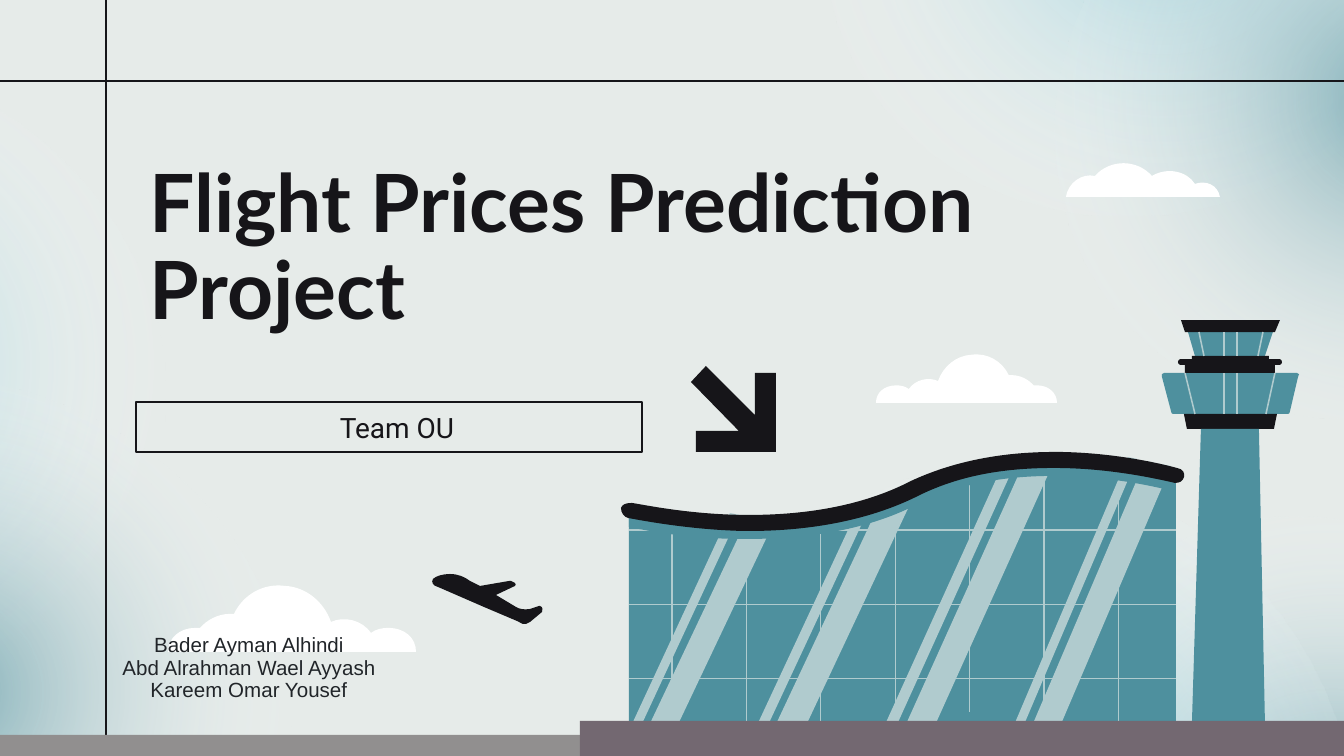
"""Build the title slide of a flight prices project, with an airport scene."""
from pptx import Presentation, oxml
from pptx import util as u
from pptx.dml.color import RGBColor
from pptx.enum import shapes, text
from pptx.oxml import ns

PX = 914400 / 134.4
WIDTH, HEIGHT = 1344, 756
THEME = {
    "paper": "E6EBE9", "ink": "161519", "teal": "4E909E", "sky": "80C8D8", "white": "FFFFFF",
    "shine": "B0CBCE", "strip": "918F8F", "ground": "736871", "body": "212529",
    "title": {"name": "Lato", "size": u.Pt(43), "bold": True},
    "team": {"name": "Roboto", "size": u.Pt(15), "bold": False},
    "names": {"name": "Arial", "size": u.Pt(11), "bold": False},
    "rule": 0.75, "mullion": 0.83, "pane": 0.67,
}
TITLE = ["Flight Prices Prediction Project"]
TEAM = ["Team OU"]
NAMES = ["Bader Ayman Alhindi", "Abd Alrahman Wael Ayyash", "Kareem Omar Yousef"]

GLOW_SIZE = (702, 618)
GLOWS = [
    (982, 547, 237.1, "teal", 81), (685, 495, 237.1, "sky", 68),
    (-531, 55, 202, "sky", 68), (-405, 382, 202, "teal", 68),
    (812, -414, 149, "sky", 68), (1044, -211, 149, "teal", 68),
]
RULES = [(106, 0, 106, HEIGHT), (0, 81, WIDTH, 81)]
PUFFY_CLOUD = [
    (388, 628), (383, 628, 376, 629, 371, 633), (362, 620, 344, 616, 331, 622),
    (324, 602, 306, 587, 285, 586), (263, 583, 243, 595, 234, 614),
    (233, 614, 231, 614, 230, 614), (218, 614, 207, 620, 200, 628),
    (198, 628, 196, 628, 195, 628), (180, 628, 168, 638, 168, 652),
    (416, 652), (416, 638, 405, 628, 388, 628),
]
HIGH_CLOUD = [
    (1220, 197), (1066, 197), (1068, 183, 1082, 173, 1095, 176),
    (1110, 159, 1137, 159, 1152, 176), (1167, 167, 1187, 171, 1195, 184),
    (1206, 180, 1218, 185, 1220, 197),
]
CLOUD_SCALE, CLOUD_RIGHT, CLOUD_BASE = 0.73, 1057, 403
ARROW = [(706, 366), (691, 382), (739, 431), (696, 431), (696, 452),
         (776, 452), (776, 373), (755, 373), (755, 415)]
TOWER = [
    ("teal", [(1173, 414), (1288, 414), (1289, 414, 1290, 413, 1290, 411), (1298, 377),
              (1300, 375, 1299, 373, 1297, 373), (1164, 373),
              (1162, 373, 1161, 375, 1162, 377), (1171, 411),
              (1171, 413, 1172, 414, 1173, 414)]),
    ("ink", [(1277, 414), (1274, 429), (1187, 429), (1184, 414)]),
    ("teal", [(1192, 723), (1265, 723), (1259, 429), (1201, 429)]),
    ("teal", [(1195, 356), (1265, 356), (1273, 332), (1188, 332)]),
    ("ink", [(1280, 320), (1275, 332), (1185, 332), (1181, 320)]),
]
DECKS = [(1185, 364, 90, 9), (1192, 356, 77, 8)]
GALLERY = (1178, 359, 104, 6)
MULLIONS = [
    (332, 356, [(1263, 1258), (1237, 1237), (1199, 1204), (1224, 1224)]),
    (373, 414, [(1275, 1266), (1237, 1237), (1185, 1195), (1224, 1224)]),
]
FACADE = [(629, 511), (629, 723), (1176, 723), (1176, 476),
          (1124, 462, 1009, 442, 915, 489), (804, 543, 663, 517, 629, 511)]
REFLECTIONS = [
    (1032, 726, 1145, 461, 26), (1015, 723, 1128, 457, 9),
    (903, 731, 1023, 465, 27), (884, 727, 1004, 462, 11),
    (762, 754, 880, 503, 28), (745, 751, 856, 513, 10),
    (636, 753, 747, 519, 26), (620, 750, 730, 513, 9),
]
PANE, FIRST_COLUMN, FIRST_ROW, ROWS = 74.4, 672, 530, 3
COLUMN_ENDS = [(517, 749), (517, 749), (512, 742), (499, 730),
               (481, 712), (472, HEIGHT), (476, HEIGHT)]
EAVES = [
    (1054, 461), (1062, 461), (1108, 461, 1149, 469, 1176, 476), (1176, 492),
    (1149, 485, 1105, 476, 1054, 476), (1011, 476, 962, 482, 918, 504),
    (872, 528, 814, 539, 749, 539), (743, 539), (704, 539, 666, 535, 629, 527),
    (629, 511), (645, 515, 692, 524, 749, 524), (799, 524, 859, 516, 911, 491),
    (952, 470, 1000, 461, 1054, 461),
]
ROOF = [
    (1054, 452), (1062, 452), (1109, 453, 1151, 461, 1177, 468),
    (1183, 469, 1185, 473, 1184, 477), (1183, 481, 1180, 483, 1175, 483),
    (1149, 477, 1105, 468, 1054, 468), (1009, 468, 962, 474, 918, 496),
    (872, 519, 814, 531, 749, 531), (743, 531), (704, 530, 665, 525, 628, 518),
    (624, 517, 621, 513, 621, 508), (622, 505, 625, 503, 632, 503),
    (645, 505, 692, 515, 749, 515), (799, 515, 859, 508, 911, 481),
    (952, 462, 1000, 452, 1054, 452),
]
PLANE = [
    (450, 574), (458, 574, 465, 577, 470, 581), (480, 586), (509, 581), (511, 581),
    (515, 583), (516, 583, 516, 586, 515, 586), (496, 595), (516, 607),
    (519, 609, 524, 610, 530, 609), (539, 606), (540, 606),
    (543, 607, 543, 610, 542, 612), (530, 622), (528, 624, 525, 624, 523, 624),
    (517, 621), (484, 607), (438, 587), (433, 586, 431, 582, 433, 579),
    (436, 576, 443, 574, 450, 574),
]


def px(*values):
    return [u.Emu(round(value * PX)) for value in values]


def color(name):
    return RGBColor.from_string(THEME[name])


def paint(shape, fill):
    shape.shadow.inherit = False
    shape.line.fill.background()
    shape.fill.solid()
    shape.fill.fore_color.rgb = color(fill)
    return shape


def add_block(page, frame, fill, kind=shapes.MSO_SHAPE.RECTANGLE):
    return paint(page.shapes.add_shape(kind, *px(*frame)), fill)


def add_outline(page, steps, fill):
    points = [px(*step[i:i + 2]) for step in steps for i in range(0, len(step), 2)]
    builder = page.shapes.build_freeform(*points[0])
    builder.add_line_segments(points[1:], close=True)
    shape = builder.convert_to_shape()
    segments = iter(list(shape._element.iter(ns.qn("a:lnTo"))))
    for step in steps[1:]:
        segment = next(segments)
        if len(step) == 6:
            curve = oxml.parse_xml(f"<a:cubicBezTo {ns.nsdecls('a')}/>")
            segment.addprevious(curve)
            for part in (segment, next(segments), next(segments)):
                curve.append(part[0])
                part.getparent().remove(part)
    return paint(shape, fill)


def add_line(page, ends, stroke, weight):
    line = page.shapes.add_connector(shapes.MSO_CONNECTOR.STRAIGHT, *px(*ends))
    line.line.color.rgb, line.line.width = color(stroke), u.Pt(THEME[weight])
    line._element.spPr.append(oxml.parse_xml(f"<a:effectLst {ns.nsdecls('a')}/>"))


def add_glow(page, left, top, turn, tint, alpha):
    glow = add_block(page, (left, top, *GLOW_SIZE), tint, shapes.MSO_SHAPE.OVAL)
    glow.rotation = turn
    stops = "".join(
        f'<a:gs pos="{pos * 1000}"><a:srgbClr val="{THEME[name]}">'
        f'<a:alpha val="{opacity * 1000}"/></a:srgbClr></a:gs>'
        for pos, name, opacity in ((0, tint, alpha), (58, "white", 0), (100, "white", 0)))
    gradient = oxml.parse_xml(
        f'<a:gradFill {ns.nsdecls("a")} rotWithShape="1"><a:gsLst>{stops}</a:gsLst>'
        '<a:path path="circle"><a:fillToRect l="50000" t="50000" r="50000" b="50000"/>'
        '</a:path></a:gradFill>')
    properties = glow._element.spPr
    properties.replace(properties.find(ns.qn("a:solidFill")), gradient)


def write(box, lines, style, ink, layout):
    frame = box.text_frame
    margins = dict.fromkeys(("margin_left", "margin_right", "margin_top", "margin_bottom"),
                            u.Inches(0.1))
    settings = {**margins, "word_wrap": True, "auto_size": text.MSO_AUTO_SIZE.NONE,
                "vertical_anchor": text.MSO_ANCHOR.MIDDLE}
    for name, value in settings.items():
        setattr(frame, name, value)
    for index, words in enumerate(lines):
        para = frame.add_paragraph() if index else frame.paragraphs[0]
        for name, value in layout.items():
            setattr(para, name, value)
        span = para.add_run()
        span.text = words
        for name, value in THEME[style].items():
            setattr(span.font, name, value)
        span.font.color.rgb = color(ink)


def draw_airport(page):
    for fill, steps in TOWER:
        add_outline(page, steps, fill)
    for frame in DECKS:
        add_block(page, frame, "ink")
    add_block(page, GALLERY, "ink", shapes.MSO_SHAPE.ROUNDED_RECTANGLE).adjustments[0] = 0.5
    for top, bottom, bars in MULLIONS:
        for start, end in bars:
            add_line(page, (start, top, end, bottom), "shine", "mullion")
    add_outline(page, FACADE, "teal")
    for x0, y0, x1, y1, wide in REFLECTIONS:
        drop = wide / 5
        add_outline(page, [(x0, y0), (x0 + wide, y0 + drop), (x1 + wide, y1 + drop), (x1, y1)],
                    "shine")
    columns = [(FIRST_COLUMN + i * PANE, top, FIRST_COLUMN + i * PANE, bottom)
               for i, (top, bottom) in enumerate(COLUMN_ENDS)]
    rows = [(629, FIRST_ROW + i * PANE, 1176, FIRST_ROW + i * PANE) for i in range(ROWS)]
    for ends in columns + rows:
        add_line(page, ends, "shine", "pane")
    add_block(page, (580, 721, WIDTH - 580, HEIGHT - 721), "ground")
    add_outline(page, EAVES, "teal")
    add_outline(page, ROOF, "ink")


def main():
    deck = Presentation()
    deck.slide_width, deck.slide_height = px(WIDTH, HEIGHT)
    page = deck.slides.add_slide(deck.slide_layouts[5])
    page.background.fill.solid()
    page.background.fill.fore_color.rgb = color("paper")
    for glow in GLOWS:
        add_glow(page, *glow)
    for ends in RULES:
        add_line(page, ends, "ink", "rule")
    mirrored = [tuple(CLOUD_BASE + (v - 652) * CLOUD_SCALE if i % 2
                      else CLOUD_RIGHT - (v - 168) * CLOUD_SCALE for i, v in enumerate(step))
                for step in PUFFY_CLOUD]
    for cloud in (PUFFY_CLOUD, mirrored, HIGH_CLOUD):
        add_outline(page, cloud, "white")
    add_block(page, (0, 735, WIDTH, HEIGHT - 735), "strip")
    title = page.shapes.title
    title.left, title.top, title.width, title.height = px(136, 110, 900, 280)
    write(title, TITLE, "title", "ink", {"alignment": text.PP_ALIGN.LEFT, "line_spacing": 0.9,
                                         "space_before": u.Pt(0), "space_after": u.Pt(2)})
    add_outline(page, ARROW, "ink")
    draw_airport(page)
    add_outline(page, PLANE, "ink")
    team = add_block(page, (136, 402, 506, 50), "paper")
    team.fill.background()
    team.line.color.rgb, team.line.width = color("ink"), u.Pt(THEME["rule"])
    write(team, TEAM, "team", "ink", {"alignment": text.PP_ALIGN.CENTER})
    indents = team.text_frame.paragraphs[0]._p.get_or_add_pPr()
    for name, value in zip(("marL", "indent"), px(67, -51)):
        indents.set(name, str(value))
    names = page.shapes.add_textbox(*px(97, 592, 304, 153))
    write(names, NAMES, "names", "body",
          {"alignment": text.PP_ALIGN.CENTER, "line_spacing": 0.9})
    deck.save("out.pptx")


if __name__ == "__main__":
    main()
